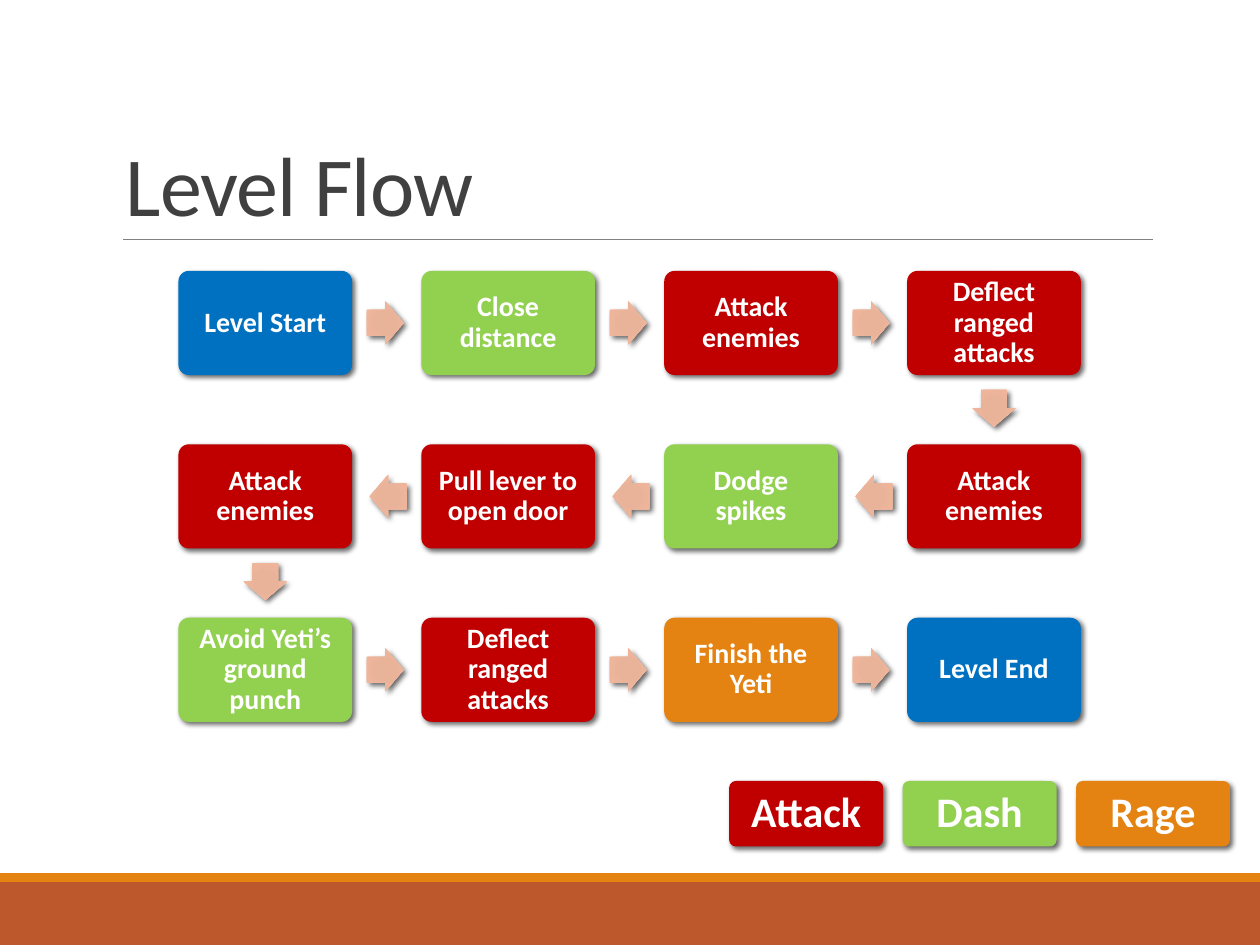
from lxml import etree
from pptx import Presentation
from pptx.dml.color import RGBColor
from pptx.enum.shapes import MSO_CONNECTOR as Connector, MSO_SHAPE as Preset
from pptx.enum.text import MSO_ANCHOR as Anchor, PP_ALIGN as Align
from pptx.oxml import parse_xml
from pptx.oxml.ns import nsdecls, qn
from pptx.util import Pt

FONT = "Calibri"
WHITE = RGBColor(0xFF, 0xFF, 0xFF)
DARK_GRAY = RGBColor(0x40, 0x40, 0x40)
RULE_GRAY = RGBColor(0x80, 0x80, 0x80)
RUST = RGBColor(0xBD, 0x58, 0x2C)
BLUE = RGBColor(0x00, 0x70, 0xC0)
GREEN = RGBColor(0x92, 0xD0, 0x50)
RED = RGBColor(0xC0, 0x00, 0x00)
ORANGE = RGBColor(0xE4, 0x83, 0x12)
ARROW_STOPS = [
    (0, RGBColor(0xE8, 0xB1, 0x96)),
    (34, RGBColor(0xE9, 0xB3, 0x99)),
    (70, RGBColor(0xEE, 0xB5, 0x9A)),
    (100, RGBColor(0xF3, 0xC0, 0xA8)),
]

STEPS = [
    ("Level Start", BLUE),
    ("Close distance", GREEN),
    ("Attack enemies", RED),
    ("Deflect ranged attacks", RED),
    ("Attack enemies", RED),
    ("Dodge spikes", GREEN),
    ("Pull lever to open door", RED),
    ("Attack enemies", RED),
    ("Avoid Yeti’s ground punch", GREEN),
    ("Deflect ranged attacks", RED),
    ("Finish the Yeti", ORANGE),
    ("Level End", BLUE),
]
LEGEND = [("Attack", RED), ("Dash", GREEN), ("Rage", ORANGE)]
COLUMNS = 4
ROWS = 3


def add_filled_shape(slide, preset, left, top, width, height, color):
    shape = slide.shapes.add_shape(preset, Pt(left), Pt(top), Pt(width), Pt(height))
    shape.shadow.inherit = False
    shape.fill.solid()
    shape.fill.fore_color.rgb = color
    shape.line.fill.background()
    return shape


def add_drop_shadow(shape):
    effects = shape._element.spPr.find(qn("a:effectLst"))
    effects.append(parse_xml(
        f'<a:outerShdw {nsdecls("a")} blurRad="{Pt(3)}" dist="{Pt(2)}" dir="2700000" '
        'algn="ctr" rotWithShape="0"><a:srgbClr val="000000"><a:alpha val="60000"/>'
        '</a:srgbClr></a:outerShdw>'))


def apply_radial_gradient(shape, stops):
    stop_xml = "".join(
        f'<a:gs pos="{position * 1000}"><a:srgbClr val="{color}"/></a:gs>'
        for position, color in stops)
    gradient = parse_xml(
        f'<a:gradFill {nsdecls("a")} rotWithShape="1"><a:gsLst>{stop_xml}</a:gsLst>'
        '<a:path path="circle"><a:fillToRect l="100000" t="100000" r="100000" '
        'b="100000"/></a:path></a:gradFill>')
    properties = shape._element.spPr
    properties.replace(properties.find(qn("a:solidFill")), gradient)


def add_card(slide, left, top, width, height, text, color, size, inset):
    card = add_filled_shape(slide, Preset.ROUNDED_RECTANGLE, left, top, width, height, color)
    card.adjustments[0] = 0.1
    add_drop_shadow(card)
    frame = card.text_frame
    frame.word_wrap = True
    frame.vertical_anchor = Anchor.MIDDLE
    frame.margin_left = frame.margin_right = Pt(inset)
    frame.margin_top = frame.margin_bottom = Pt(inset)
    paragraph = frame.paragraphs[0]
    paragraph.alignment = Align.CENTER
    paragraph.line_spacing = 0.9
    run = paragraph.add_run()
    run.text = text
    run.font.name = FONT
    run.font.size = Pt(size)
    run.font.bold = True
    run.font.color.rgb = WHITE


def add_flow_arrow(slide, start, end):
    """Place an arrow between two card centres, slightly nearer the first."""
    width, height, lag = 21, 24.6, 0.8
    across = (end[0] > start[0]) - (end[0] < start[0])
    down = (end[1] > start[1]) - (end[1] < start[1])
    center_x = (start[0] + end[0]) / 2 - lag * across
    center_y = (start[1] + end[1]) / 2 - lag * down
    arrow = add_filled_shape(slide, Preset.RIGHT_ARROW, center_x - width / 2,
                             center_y - height / 2, width, height, ARROW_STOPS[0][1])
    arrow.adjustments[0] = 0.6
    arrow.adjustments[1] = 0.5
    arrow.rotation = 90 if down else 180 if across < 0 else 0
    apply_radial_gradient(arrow, ARROW_STOPS)
    add_drop_shadow(arrow)


def add_level_flow(slide, left, top, width, height):
    """Lay the steps out in rows that alternate direction."""
    gap = 39.6
    card_width = (width - gap * (COLUMNS - 1)) / COLUMNS
    card_height = (height - gap * (ROWS - 1)) / ROWS
    previous = None
    for index, (text, color) in enumerate(STEPS):
        row, column = divmod(index, COLUMNS)
        if row % 2:
            column = COLUMNS - 1 - column
        x = left + column * (card_width + gap)
        y = top + row * (card_height + gap)
        center = (x + card_width / 2, y + card_height / 2)
        if previous:
            add_flow_arrow(slide, previous, center)
        add_card(slide, x, y, card_width, card_height, text, color, 16, 4.8)
        previous = center


def add_legend(slide, left, top, width, height):
    card_width = 88
    pitch = (width - card_width) / (len(LEGEND) - 1)
    for index, (text, color) in enumerate(LEGEND):
        add_card(slide, left + index * pitch, top, card_width, height, text, color, 24, 3.6)


def add_title(slide, left, top, width, height):
    box = slide.shapes.add_textbox(Pt(left), Pt(top), Pt(width), Pt(height))
    frame = box.text_frame
    frame.word_wrap = True
    frame.vertical_anchor = Anchor.BOTTOM
    paragraph = frame.paragraphs[0]
    paragraph.line_spacing = 0.85
    run = paragraph.add_run()
    run.text = "Level Flow"
    run.font.name = FONT
    run.font.size = Pt(48)
    run.font.color.rgb = DARK_GRAY
    run._r.get_or_add_rPr().set("spc", "-50")


def add_title_rule(slide, left, top, width):
    rule = slide.shapes.add_connector(
        Connector.STRAIGHT, Pt(left), Pt(top), Pt(left + width), Pt(top))
    rule.line.color.rgb = RULE_GRAY
    rule.line.width = Pt(0.5)
    etree.SubElement(rule._element.spPr, qn("a:effectLst"))


def add_footer_bands(slide, left, top, width, height):
    stripe = 5
    add_filled_shape(slide, Preset.RECTANGLE, left, top + stripe, width, height - stripe, RUST)
    add_filled_shape(slide, Preset.RECTANGLE, left, top, width, stripe, ORANGE)


def main():
    presentation = Presentation()
    presentation.slide_width = Pt(720)
    presentation.slide_height = Pt(540)
    slide = presentation.slides.add_slide(presentation.slide_layouts[6])
    add_footer_bands(slide, 0, 499, 720, 41)
    add_title_rule(slide, 70.5, 136.8, 588.3)
    add_title(slide, 64.8, 22.3, 594, 114.5)
    add_level_flow(slide, 102, 154.8, 515.6, 257.7)
    add_legend(slide, 416.7, 446.3, 286.2, 37.4)
    presentation.save("out.pptx")


if __name__ == "__main__":
    main()
